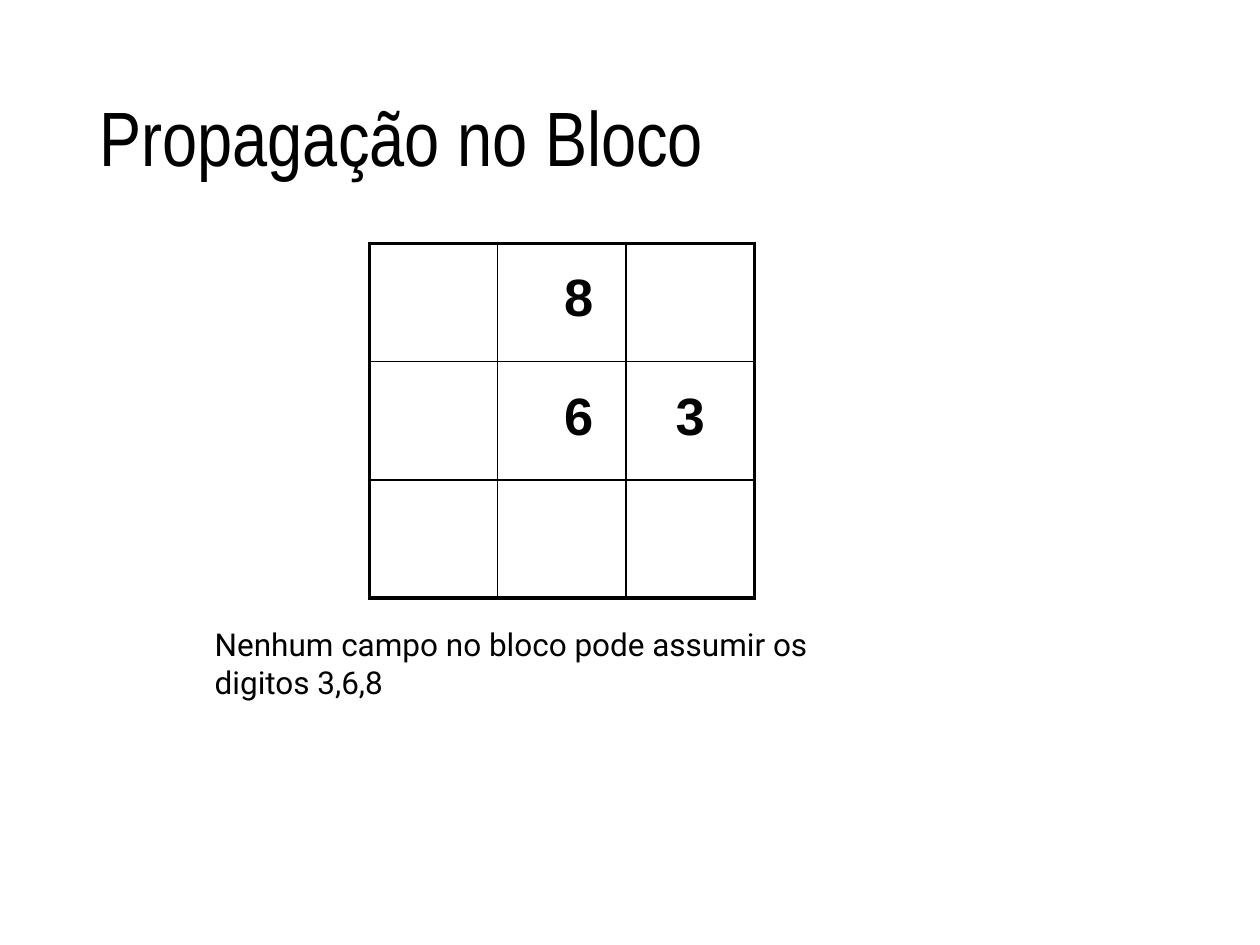
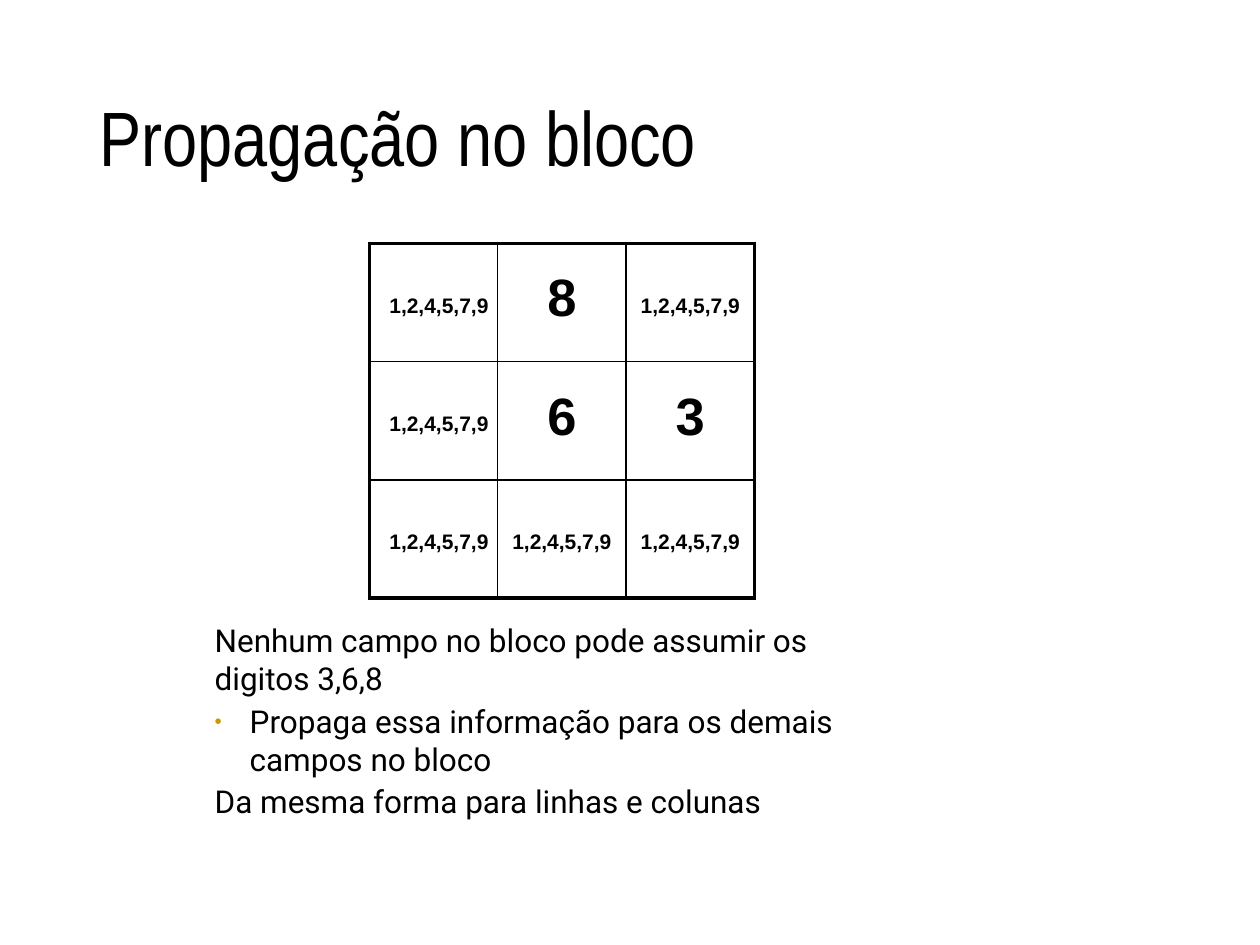
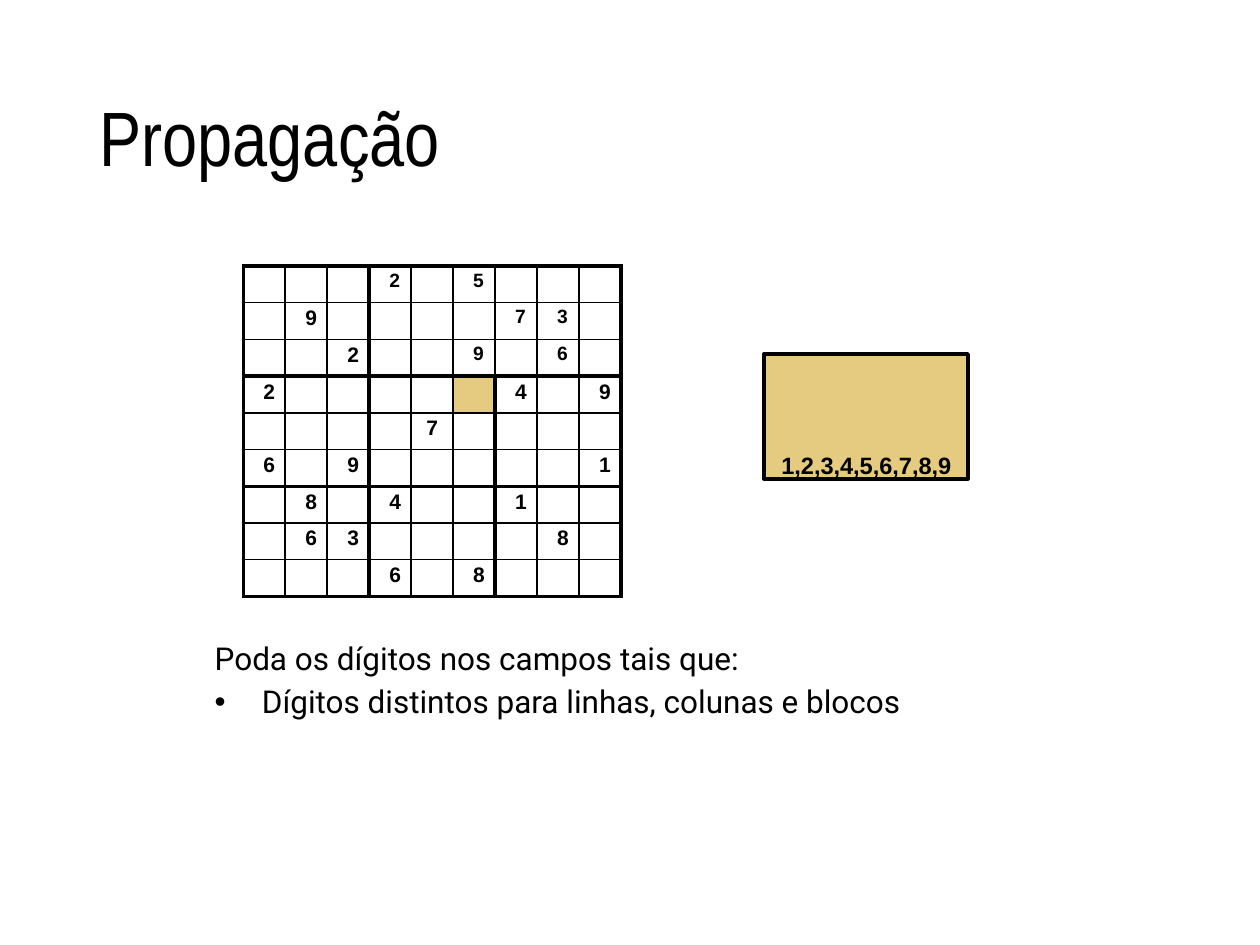
from lxml.etree import SubElement as Sub
from pptx import Presentation
from pptx.dml.color import RGBColor
from pptx.enum.shapes import MSO_SHAPE as Form
from pptx.enum.text import MSO_ANCHOR as Anchor, MSO_AUTO_SIZE as Fit, PP_ALIGN as Align
from pptx.oxml.ns import qn
from pptx.util import Pt

BLACK = RGBColor(0x00, 0x00, 0x00)
GOLD = RGBColor(0xCC, 0x99, 0x00)
SAND = RGBColor(0xE5, 0xCB, 0x7F)
THIN, MID, THICK = 1, 1.5, 2.25


def ink(par, face, size, bold=False):
    for run in par.runs:
        run.font.name = face
        run.font.size = Pt(size)
        run.font.bold = bold
        run.font.color.rgb = BLACK


def grid(slide, left, top, wide, high, rows):
    count = len(rows)
    frame = slide.shapes.add_table(count, count, Pt(left), Pt(top), Pt(wide * count), Pt(high * count))
    table = frame.table
    table.first_row = table.horz_banding = False
    for i, row in enumerate(rows):
        table.rows[i].height = Pt(high)
        table.columns[i].width = Pt(wide)
        for j, text in enumerate(row):
            cell = table.cell(i, j)
            cell.margin_left = cell.margin_right = cell.margin_top = cell.margin_bottom = 0
            if text:
                cell.text_frame.text = text
            else:
                Sub(cell.text_frame.paragraphs[0]._p, qn("a:endParaRPr"), sz="1000")
            props = cell._tc.get_or_add_tcPr()
            for side, edge in (("L", j), ("R", j + 1), ("T", i), ("B", i + 1)):
                width = THIN if edge % 3 else THICK
                if side in "LR" and edge == 6 and i < 3:
                    width = MID
                line = Sub(props, qn("a:ln" + side), w=str(Pt(width)))
                Sub(Sub(line, qn("a:solidFill")), qn("a:srgbClr"), val=str(BLACK))
            cell.fill.background()
    return table


deck = Presentation()
deck.slide_width, deck.slide_height = Pt(720), Pt(540)

RULE = "Nenhum campo no bloco pode assumir os digitos 3,6,8"
pages = [
    ("Propagação no Bloco", (356.4, 392.4, 44.6, 0.7), [(RULE, 0.8, 1, 0, None)]),
    ("Propagação no bloco", (352.1, 398.2, 118.8, 2.9), [
        (RULE, 0.8, 1, 0, None),
        ("Propaga essa informação para os demais campos no bloco", 3.2, 21, -20, GOLD),
        ("Da mesma forma para linhas e colunas", 2.2, 1, 0, None),
    ]),
    ("Propagação", (361.4, 449.3, 50.4, 3.6), [
        ("Poda os dígitos nos campos tais que:", 3.4, 1, 0, None),
        ("Dígitos distintos para linhas, colunas e blocos", 3.4, 28, -27, BLACK),
    ]),
]

slides = []
for name, (top, wide, high, inset), lines in pages:
    slide = deck.slides.add_slide(deck.slide_layouts[5])
    slides.append(slide)
    title = slide.shapes.title
    title.left, title.top, title.width, title.height = Pt(49.7), Pt(28.8), Pt(620.6), Pt(104.4)
    title.text_frame.text = name
    title.text_frame.auto_size = Fit.NONE
    title.text_frame.vertical_anchor = Anchor.MIDDLE
    head = title.text_frame.paragraphs[0]
    head.alignment = Align.LEFT
    head.line_spacing = 0.9
    ink(head, "Arial Narrow", 44)

    body = slide.shapes.add_textbox(Pt(121.7), Pt(top), Pt(wide), Pt(high)).text_frame
    body.word_wrap = True
    body.margin_left = body.margin_right = body.margin_bottom = 0
    body.margin_top = Pt(inset)
    for k, (text, space, left, hang, dot) in enumerate(lines):
        par = body.add_paragraph() if k else body.paragraphs[0]
        par.text = text
        par.space_before = Pt(space)
        ink(par, "Roboto", 18)
        props = par._p.get_or_add_pPr()
        props.set("marL", str(Pt(left)))
        props.set("indent", str(Pt(hang)))
        if dot is not None:
            Sub(Sub(props, qn("a:buClr")), qn("a:srgbClr"), val=str(dot))
            Sub(props, qn("a:buSzPct"), val="65000" if dot == GOLD else "100000")
            Sub(props, qn("a:buFont"), typeface="Arial")
            Sub(props, qn("a:buChar"), char="•")

REST = "1,2,4,5,7,9"
blocks = [
    ([["", "8", ""], ["", "6", "3"], ["", "", ""]], (None, 38, None)),
    ([[REST, "8", REST], [REST, "6", "3"], [REST] * 3], (11.5, None, None)),
]
for slide, (rows, dents) in zip(slides, blocks):
    table = grid(slide, 211, 139, 73.4, 67.6, rows)
    for i, row in enumerate(rows):
        for j, text in enumerate(row):
            cell = table.cell(i, j)
            par = cell.text_frame.paragraphs[0]
            digit = len(text) == 1
            cell.margin_top = Pt(15 if digit else 29)
            if dents[j] is None:
                par.alignment = Align.CENTER
            else:
                cell.margin_left = Pt(dents[j])
            ink(par, "Arial", 30 if digit else 12, True)

board = [
    "...2.5...",
    ".9....73.",
    "..2..9.6.",
    "2.....4.9",
    "....7....",
    "6.9.....1",
    ".8.4..1..",
    ".63....8.",
    "...6.8...",
]
rows = [[mark.strip(".") for mark in line] for line in board]
table = grid(slides[2], 139, 152, 24, 21, rows)
for i in range(9):
    for j in range(9):
        cell = table.cell(i, j)
        par = cell.text_frame.paragraphs[0]
        cell.margin_top = Pt(2.2)
        if (i, j) == (4, 4):
            par.alignment = Align.CENTER
        else:
            cell.margin_left = Pt(11.5)
        ink(par, "Arial", 11 if i < 3 and j > 2 else 12, True)
field = table.cell(3, 5).fill
field.solid()
field.fore_color.rgb = SAND

box = slides[2].shapes.add_shape(Form.RECTANGLE, Pt(436.5), Pt(202.3), Pt(116.6), Pt(71.3))
box.shadow.inherit = False
box.fill.solid()
box.fill.fore_color.rgb = GOLD
Sub(box._element.spPr.find(qn("a:solidFill"))[0], qn("a:alpha"), val="50000")
box.line.color.rgb = BLACK
box.line.width = Pt(2.28)
zone = box.text_frame
zone.text = "1,2,3,4,5,6,7,8,9"
zone.margin_left = Pt(10)
zone.margin_right = zone.margin_top = zone.margin_bottom = 0
zone.vertical_anchor = Anchor.BOTTOM
zone.paragraphs[0].alignment = Align.LEFT
ink(zone.paragraphs[0], "Arial", 13.5, True)

deck.save("out.pptx")
